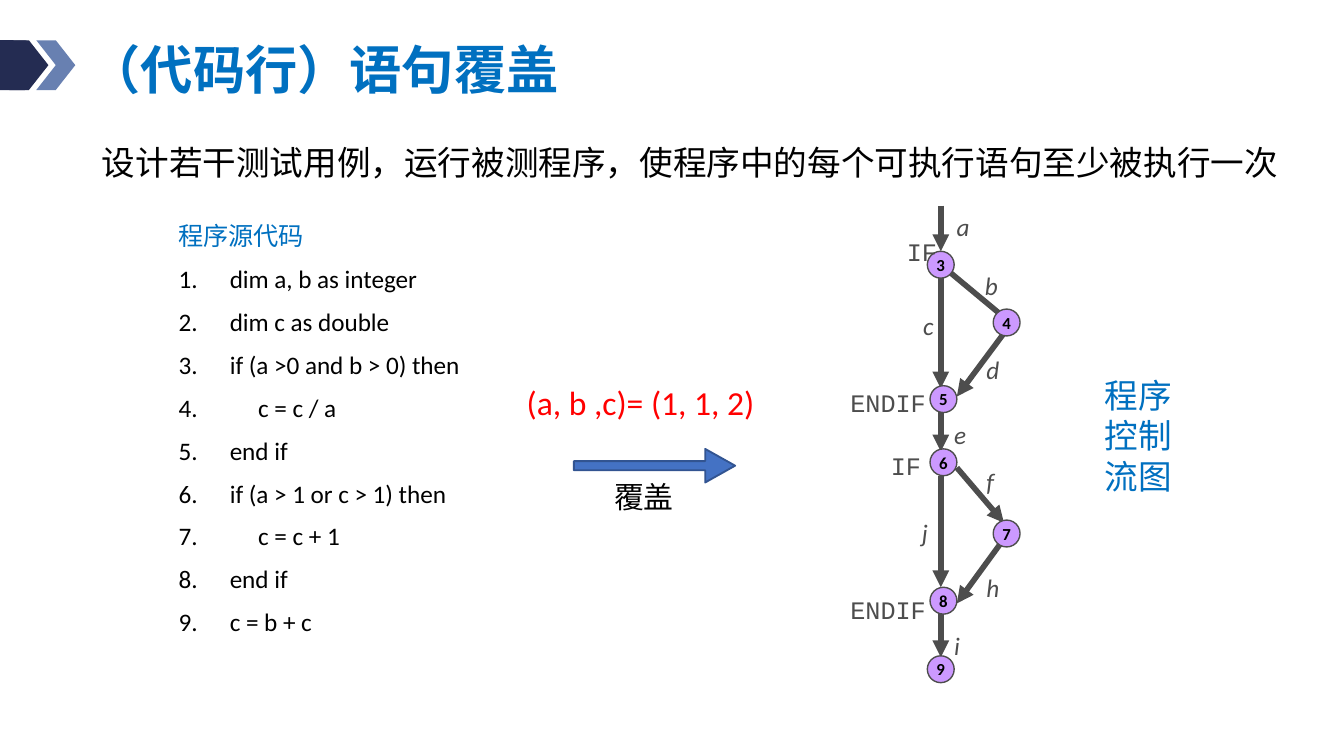
from lxml.etree import SubElement
from pptx import Presentation
from pptx.dml.color import RGBColor
from pptx.enum.shapes import MSO_CONNECTOR, MSO_SHAPE
from pptx.enum.text import MSO_ANCHOR, MSO_AUTO_SIZE, PP_ALIGN
from pptx.oxml.ns import qn
from pptx.util import Emu, Pt

SCALE = 9144
CJK, LATIN, MONO = "Noto Sans CJK SC", "Calibri", "Courier New"
COLORS = {
    "navy": "242C52", "steel": "6880B1", "title": "0070C0", "text": "000000",
    "graph": "4D4D4D", "node": "CC99FF", "case": "FF0000",
    "arrow": "4472C4", "arrow_line": "325491",
}
CODE = [
    "dim a, b as integer", "dim c as double", "if (a >0 and b > 0) then",
    "     c = c / a", "end if", "if (a > 1 or c > 1) then",
    "     c = c + 1", "end if", "c = b + c",
]
NODES = {
    "3": (80, 47), "4": (129, 90), "5": (82, 147), "6": (82, 194),
    "7": (129, 247), "8": (82, 297), "9": (80, 348),
}
EDGES = [
    ("a", 80, 3, 80, 37, 82, 2), ("b", 80, 47, 127, 86, 103, 46),
    ("c", 80, 56, 80, 139, 57, 76), ("d", 127, 98, 92, 145, 104, 109),
    ("e", 80, 151, 80, 186, 80, 157), ("f", 92, 198, 127, 239, 104, 192),
    ("j", 80, 204, 80, 287, 56, 230), ("h", 127, 251, 92, 299, 104, 271),
    ("i", 80, 304, 80, 339, 80, 314),
]
KEYWORDS = [("IF", 45, 21, 43), ("ENDIF", 3, 133, 77),
            ("IF", 33, 180, 43), ("ENDIF", 3, 287, 77)]


def px(value):
    """Turn layout pixels into EMU."""
    return Emu(value * SCALE)


def color(name):
    """Look up a palette colour."""
    return RGBColor.from_string(COLORS[name])


def style(paragraph, size, name, font=LATIN, bold=False, italic=False):
    """Format a whole paragraph, with its East Asian font."""
    target = paragraph.font
    target.size, target.name = Pt(size), font
    target.bold, target.italic = bold, italic
    target.color.rgb = color(name)
    defaults = paragraph._p.pPr.find(qn("a:defRPr"))
    SubElement(defaults, qn("a:ea"), typeface=CJK if font == LATIN else font)


def set_insets(frame, horizontal, vertical):
    """Set the inner margins of a text frame."""
    frame.margin_left = frame.margin_right = px(horizontal)
    frame.margin_top = frame.margin_bottom = px(vertical)


def place(shape, left, top, width, height):
    """Move and size a placeholder."""
    shape.left, shape.top = px(left), px(top)
    shape.width, shape.height = px(width), px(height)


def add_label(slide, box, text, size, name, font=LATIN, italic=False, wrap=True):
    """Add a text box holding one paragraph and return it."""
    label = slide.shapes.add_textbox(*map(px, box))
    label.text_frame.word_wrap = wrap
    label.text_frame.text = text
    style(label.text_frame.paragraphs[0], size, name, font, italic=italic)
    return label


def add_shape(slide, kind, box, fill, line=None, width=1):
    """Add a flat preset shape and return it."""
    shape = slide.shapes.add_shape(kind, *map(px, box))
    shape.shadow.inherit = False
    shape.fill.solid()
    shape.fill.fore_color.rgb = color(fill)
    if line:
        shape.line.color.rgb = color(line)
        shape.line.width = Pt(width)
    else:
        shape.line.fill.background()
    return shape


def add_edge(slide, start, end, arrow):
    """Add a graph edge, with an arrowhead at its end if wanted."""
    edge = slide.shapes.add_connector(MSO_CONNECTOR.STRAIGHT, *map(px, start + end))
    edge.line.color.rgb = color("graph")
    edge.line.width = Pt(3)
    if arrow:
        SubElement(edge.line._get_or_add_ln(), qn("a:tailEnd"), type="triangle")
    SubElement(edge._element.spPr, qn("a:effectLst"))


def add_header(slide, left, top):
    """Place the chevron mark and the slide title."""
    mark = add_shape(slide, MSO_SHAPE.ROUNDED_RECTANGLE, (left - 13, top, 35, 37), "navy")
    mark.adjustments[0] = 0.1
    for offset, name in ((27, "steel"), (7, "navy")):
        add_shape(slide, MSO_SHAPE.CHEVRON, (left + offset, top, 29, 37), name)
    title = slide.shapes.title
    place(title, left + 66, top + 2, 425, 44)
    frame = title.text_frame
    frame.text = "（代码行）语句覆盖"
    frame.auto_size = MSO_AUTO_SIZE.NONE
    frame.vertical_anchor = MSO_ANCHOR.MIDDLE
    set_insets(frame, 0, 0)
    paragraph = frame.paragraphs[0]
    paragraph.alignment, paragraph.line_spacing = PP_ALIGN.LEFT, 0.9
    style(paragraph, 28, "title", CJK, bold=True)


def add_code(slide, left, top):
    """Fill the body placeholder with the numbered source code."""
    body = slide.placeholders[1]
    place(body, left, top, 313, 337)
    frame = body.text_frame
    frame.text = "\n".join(["程序源代码"] + CODE)
    frame.auto_size = MSO_AUTO_SIZE.NONE
    set_insets(frame, 7, 4)
    for index, paragraph in enumerate(frame.paragraphs):
        paragraph.space_before = Pt(6.8 if index else 0)
        properties = paragraph._p.get_or_add_pPr()
        properties.set("marL", str(px(38)))
        properties.set("indent", str(px(-38)))
        if index:
            SubElement(properties, qn("a:buFont"), typeface=LATIN)
            SubElement(properties, qn("a:buAutoNum"), type="arabicPeriod")
            style(paragraph, 13.5, "text")
        else:
            SubElement(properties, qn("a:buNone"))
            style(paragraph, 13.5, "title", CJK)


def add_test_case(slide, left, top):
    """Place the test values above the coverage arrow and its caption."""
    add_label(slide, (left, top, 192, 40), "(a, b ,c)= (1, 1, 2)", 18, "case", wrap=False)
    arrow = add_shape(slide, MSO_SHAPE.RIGHT_ARROW, (left + 45, top + 55, 120, 25),
                      "arrow", "arrow_line")
    arrow.adjustments[0], arrow.adjustments[1] = 0.27, 0.89
    add_label(slide, (left + 65, top + 72, 65, 37), "覆盖", 16, "text", CJK)


def add_flow_graph(slide, left, top):
    """Draw the control flow graph with its nodes and labels."""
    for name, x1, y1, x2, y2, *_ in EDGES:
        add_edge(slide, (left + x1, top + y1), (left + x2, top + y2), name != "b")
    for name, (x, y) in NODES.items():
        node = add_shape(slide, MSO_SHAPE.OVAL, (left + x - 10, top + y - 10, 20, 20),
                         "node", "graph", 0.75)
        frame = node.text_frame
        frame.text, frame.word_wrap = name, False
        frame.vertical_anchor = MSO_ANCHOR.MIDDLE
        set_insets(frame, 0, 0)
        frame.paragraphs[0].alignment = PP_ALIGN.CENTER
        style(frame.paragraphs[0], 9, "text", bold=True)
    for text, x, y, width in KEYWORDS:
        add_label(slide, (left + x, top + y, width, 33), text, 13.5, "graph", MONO, wrap=False)
    for name, *_, x, y in EDGES:
        add_label(slide, (left + x, top + y, 28, 33), name, 13.5, "graph",
                  italic=True, wrap=False)


def main():
    """Build and save the slide."""
    presentation = Presentation()
    presentation.slide_width = px(1000)
    presentation.slide_height = presentation.slide_width * 9 // 16
    slide = presentation.slides.add_slide(presentation.slide_layouts[1])
    add_header(slide, 0, 30)
    summary = add_label(slide, (66, 86, 907, 50),
                        "设计若干测试用例，运行被测程序，使程序中的每个可执行语句至少被执行一次",
                        18, "text")
    summary.text_frame.paragraphs[0].line_spacing = 1.5
    add_code(slide, 126, 160)
    add_test_case(slide, 382, 279)
    add_flow_graph(slide, 620, 150)
    caption = add_label(slide, (815, 275, 79, 99), "程序控制流图", 18, "title", CJK)
    set_insets(caption.text_frame, 7, 4)
    presentation.save("out.pptx")


if __name__ == "__main__":
    main()
